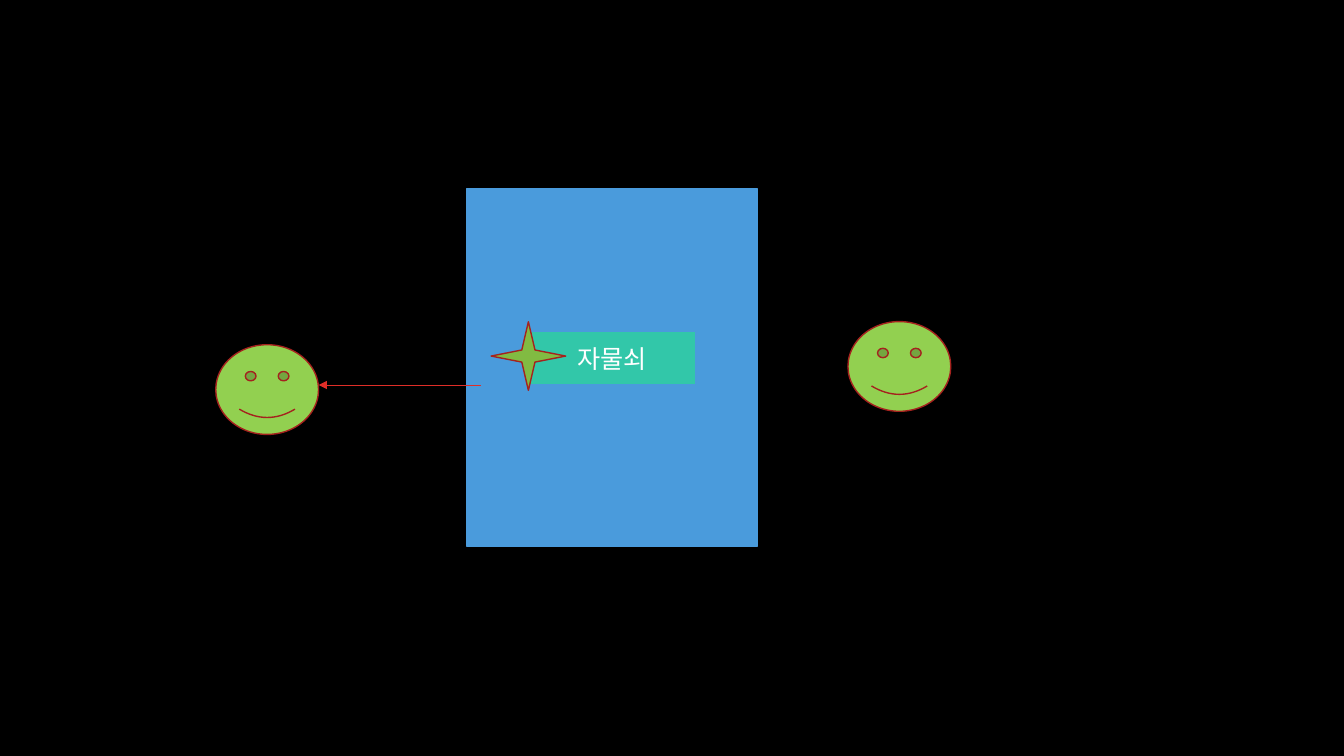
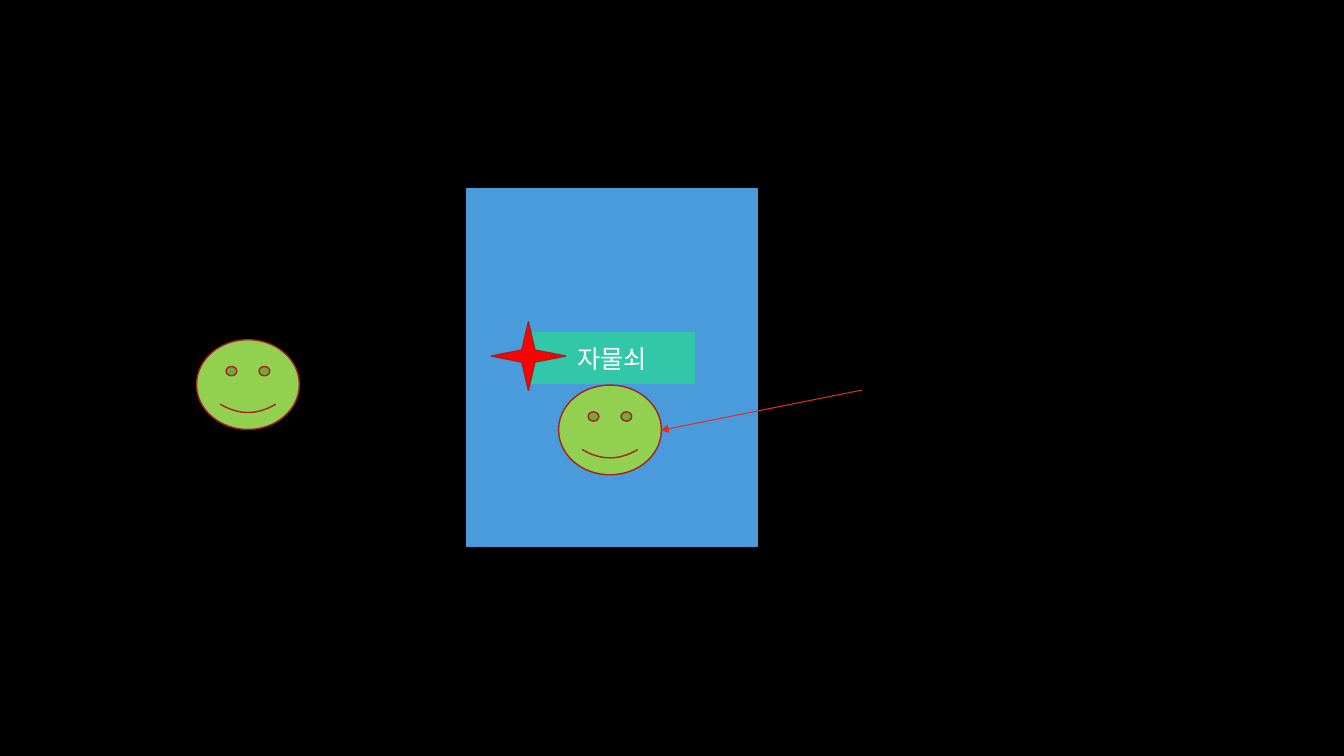
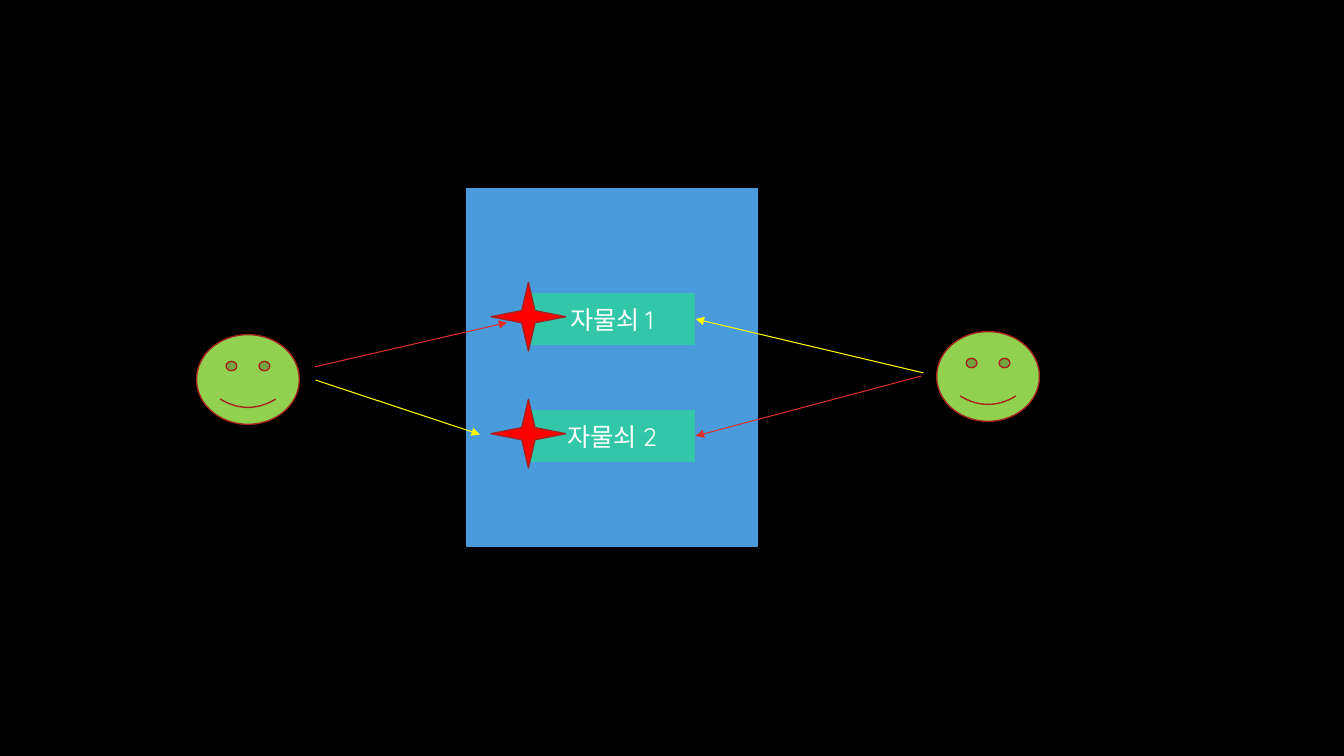
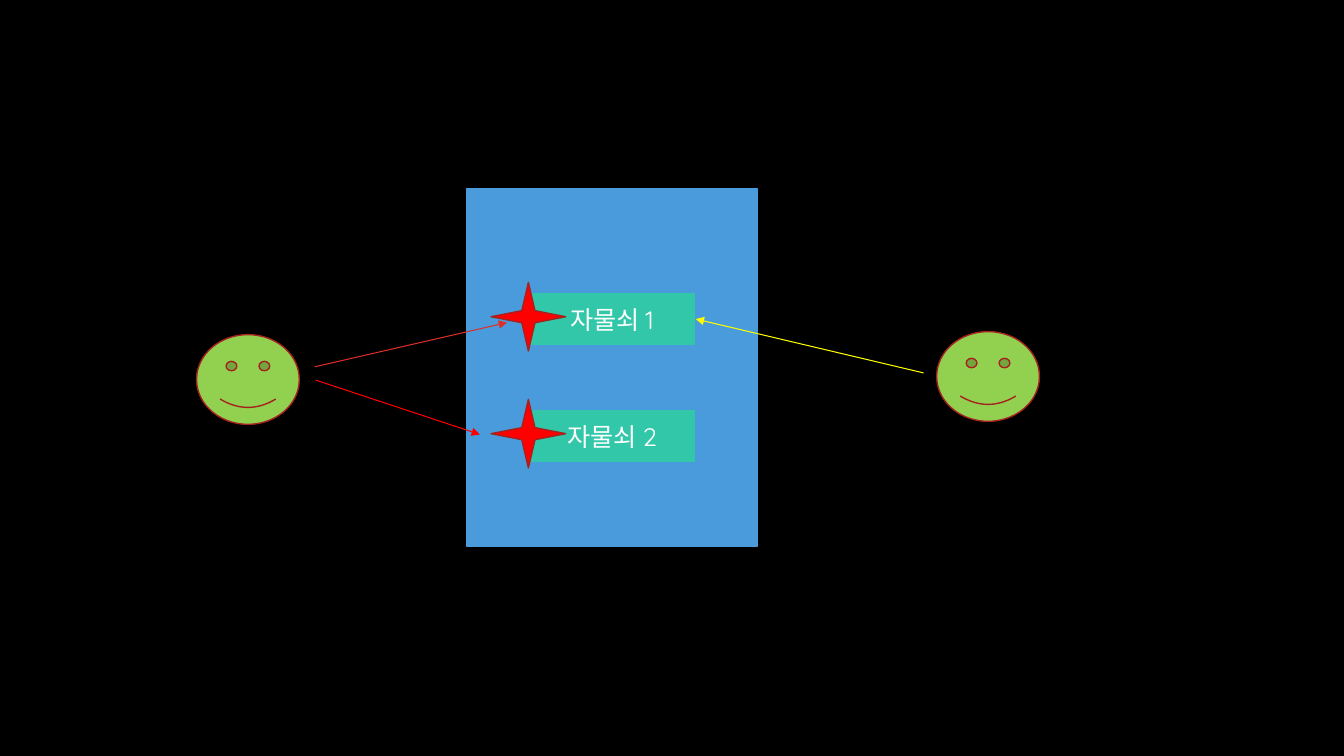
import dataclasses

import lxml.etree
import pptx
import pptx.dml.color
import pptx.enum.shapes
import pptx.enum.text
import pptx.oxml.ns
import pptx.util


@dataclasses.dataclass(frozen=True)
class Theme:
    background: str = "000000"
    panel: str = "4A9BDC"
    lock: str = "32C7A9"
    face: str = "92D050"
    outline: str = "A5221E"
    star_free: str = "81BB42"
    star_taken: str = "FF0000"
    arrow: str = "DF2E28"
    waiting: str = "FFFF00"
    acquired: str = "FF0000"
    text: str = "FFFFFF"
    font: str = "Quicksand"
    text_size: float = 18
    outline_width: float = 1
    arrow_width: float = 0.75


THEME = Theme()
WIDTH = pptx.util.Inches(13.33)
HEIGHT = pptx.util.Inches(7.5)
SHAPES = pptx.enum.shapes.MSO_SHAPE

# All positions are centres, in percent of the slide's width and height.
PANEL_CENTRE = (45.54, 48.6)
PANEL_SIZE = (21.6, 47.33)
LOCK_SIZE = (12.45, 7.07)
FACE_SIZE = (7.65, 11.87)
STAR_SIZE = (5.55, 9.07)
STAR_RISE = 0.3
RIGHT_SIDE = 3

TWO_LOCKS = [("자물쇠 1", 42.2), ("자물쇠 2", 57.67)]
TWO_FACES = [(18.45, 50.2), (73.52, 49.8)]
LEFT_TO_FIRST = ((23.41, 48.53), (37.73, 42.67), THEME.arrow)
RIGHT_TO_FIRST = ((68.72, 49.33), "자물쇠 1", THEME.waiting)
LEFT_TO_SECOND = ((23.48, 50.27), (35.71, 57.47))

SLIDES = [
    {
        "locks": [("자물쇠", 47.4)],
        "star": THEME.star_free,
        "faces": [(19.88, 51.53), (66.92, 48.47)],
        "arrows": [((35.78, 50.93), (23.71, 50.93), THEME.arrow)],
    },
    {
        "locks": [("자물쇠", 47.4)],
        "star": THEME.star_taken,
        "faces": [(18.45, 50.87), (45.39, 56.87)],
        "arrows": [((64.14, 51.6), (49.14, 56.93), THEME.arrow)],
    },
    {
        "locks": TWO_LOCKS,
        "star": THEME.star_taken,
        "faces": TWO_FACES,
        "arrows": [
            LEFT_TO_FIRST,
            ((68.57, 49.73), "자물쇠 2", THEME.arrow),
            (*LEFT_TO_SECOND, THEME.waiting),
            RIGHT_TO_FIRST,
        ],
    },
    {
        "locks": TWO_LOCKS,
        "star": THEME.star_taken,
        "faces": TWO_FACES,
        "arrows": [
            LEFT_TO_FIRST,
            RIGHT_TO_FIRST,
            (*LEFT_TO_SECOND, THEME.acquired),
        ],
    },
]


def rgb(value):
    return pptx.dml.color.RGBColor.from_string(value)


def place(point):
    return round(WIDTH * point[0] / 100), round(HEIGHT * point[1] / 100)


def add_block(slide, kind, centre, size, fill, line):
    (x, y), (width, height) = place(centre), place(size)
    shape = slide.shapes.add_shape(kind, x - width // 2, y - height // 2, width, height)
    shape.shadow.inherit = False
    shape.fill.solid()
    shape.fill.fore_color.rgb = rgb(fill)
    shape.line.color.rgb = rgb(line)
    shape.line.width = pptx.util.Pt(THEME.outline_width)
    return shape


def write(shape, text, *, size=THEME.text_size, color=THEME.text, font=THEME.font,
          align=pptx.enum.text.PP_ALIGN.CENTER,
          anchor=pptx.enum.text.MSO_ANCHOR.MIDDLE):
    shape.text_frame.vertical_anchor = anchor
    paragraph = shape.text_frame.paragraphs[0]
    paragraph.alignment = align
    run = paragraph.add_run()
    run.text = text
    run.font.size = pptx.util.Pt(size)
    run.font.name = font
    run.font.color.rgb = rgb(color)


def add_arrow(slide, start, end, color, locks):
    target = locks.get(end) if isinstance(end, str) else None
    finish = (0, 0) if target else place(end)
    arrow = slide.shapes.add_connector(
        pptx.enum.shapes.MSO_CONNECTOR.STRAIGHT, *place(start), *finish)
    if target:
        arrow.end_connect(target, RIGHT_SIDE)
    arrow.line.color.rgb = rgb(color)
    arrow.line.width = pptx.util.Pt(THEME.arrow_width)
    properties = arrow.element.spPr
    line = properties.find(pptx.oxml.ns.qn("a:ln"))
    lxml.etree.SubElement(line, pptx.oxml.ns.qn("a:tailEnd"), type="triangle")
    lxml.etree.SubElement(properties, pptx.oxml.ns.qn("a:effectLst"))


def build_slide(presentation, content):
    slide = presentation.slides.add_slide(presentation.slide_layouts[6])
    add_block(slide, SHAPES.RECTANGLE, PANEL_CENTRE, PANEL_SIZE, THEME.panel, THEME.panel)
    locks = {}
    for label, row in content["locks"]:
        lock = add_block(slide, SHAPES.RECTANGLE, (PANEL_CENTRE[0], row), LOCK_SIZE,
                         THEME.lock, THEME.panel)
        write(lock, label)
        locks[label] = lock
        corner = (PANEL_CENTRE[0] - LOCK_SIZE[0] / 2, row - STAR_RISE)
        add_block(slide, SHAPES.STAR_4_POINT, corner, STAR_SIZE,
                  content["star"], THEME.outline)
    for centre in content["faces"]:
        add_block(slide, SHAPES.SMILEY_FACE, centre, FACE_SIZE, THEME.face, THEME.outline)
    for start, end, color in content["arrows"]:
        add_arrow(slide, start, end, color, locks)


def main():
    presentation = pptx.Presentation()
    presentation.slide_width = WIDTH
    presentation.slide_height = HEIGHT
    background = presentation.slide_master.background.fill
    background.solid()
    background.fore_color.rgb = rgb(THEME.background)
    for content in SLIDES:
        build_slide(presentation, content)
    presentation.save("out.pptx")


if __name__ == "__main__":
    main()
